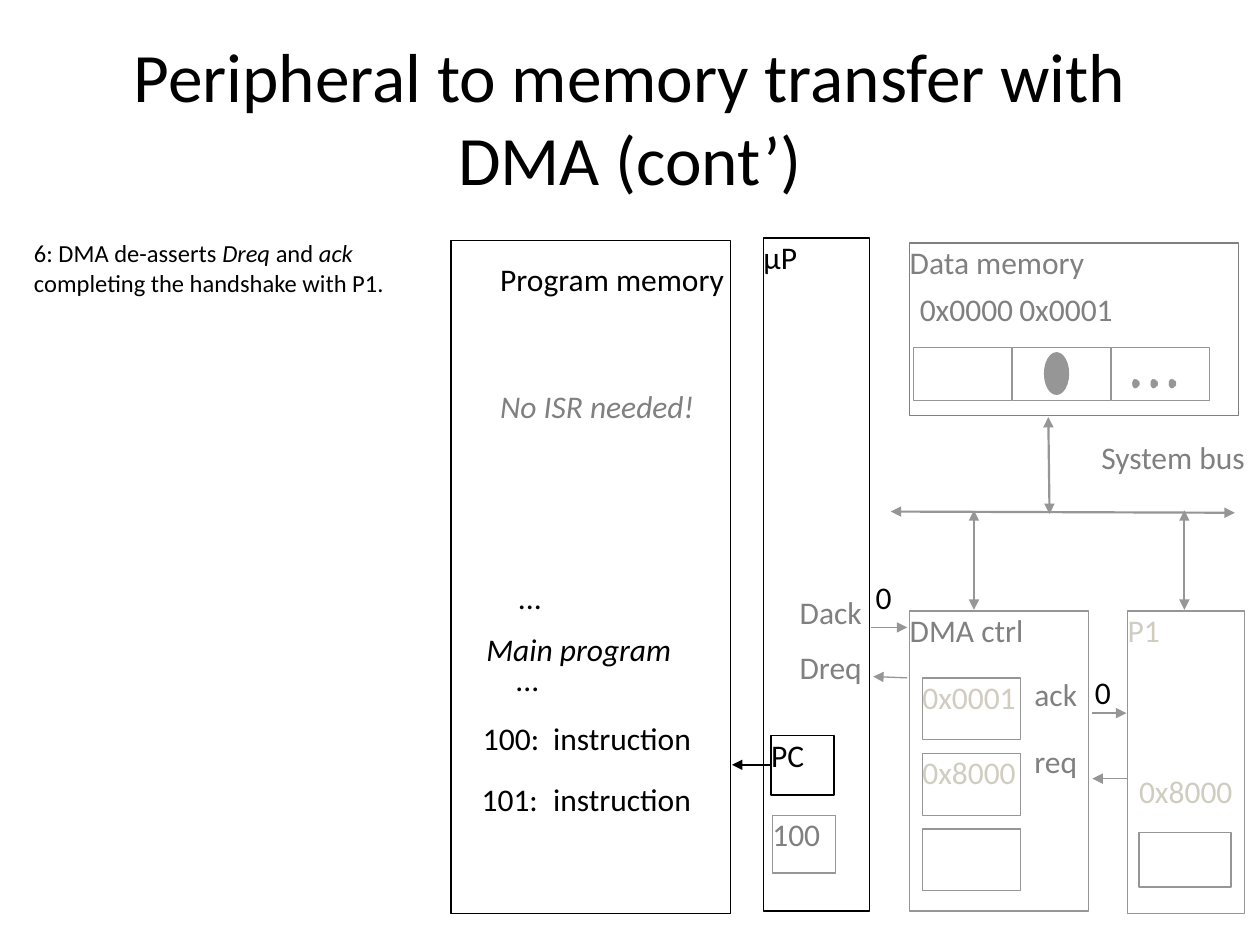
from pptx import Presentation
from pptx.dml.color import RGBColor
from pptx.enum.dml import MSO_LINE
from pptx.enum.shapes import MSO_CONNECTOR, MSO_SHAPE
from pptx.enum.text import MSO_ANCHOR, PP_ALIGN
from pptx.oxml.ns import qn
from pptx.util import Inches, Pt
from lxml import etree

BLACK = RGBColor(0x00, 0x00, 0x00)
WHITE = RGBColor(0xFF, 0xFF, 0xFF)
GRAY = RGBColor(0x80, 0x80, 0x80)
LINE_GRAY = RGBColor(0x96, 0x96, 0x96)
PALE = RGBColor(0xD0, 0xCD, 0xC0)  # dark enough to read on white
LEFT, CENTER, RIGHT = PP_ALIGN.LEFT, PP_ALIGN.CENTER, PP_ALIGN.RIGHT
TOP, MIDDLE = MSO_ANCHOR.TOP, MSO_ANCHOR.MIDDLE
RECTANGLE, OVAL = MSO_SHAPE.RECTANGLE, MSO_SHAPE.OVAL
STRAIGHT, DASH = MSO_CONNECTOR.STRAIGHT, MSO_LINE.DASH

presentation = Presentation()
presentation.slide_width = Inches(10)
presentation.slide_height = Inches(7.5)
slide = presentation.slides.add_slide(presentation.slide_layouts[6])


def write_text(shape, lines, color, size=18, align=LEFT, anchor=TOP, inset=0):
    """Each line is a list of (text, italic) runs."""
    frame = shape.text_frame
    frame_format = {"word_wrap": True, "vertical_anchor": anchor}
    for side in ("left", "top", "right", "bottom"):
        frame_format["margin_" + side] = Inches(inset)
    for name, value in frame_format.items():
        setattr(frame, name, value)
    for index, runs in enumerate(lines):
        paragraph = frame.paragraphs[0] if index == 0 else frame.add_paragraph()
        paragraph.alignment = align
        for text, italic in runs:
            run = paragraph.add_run()
            run.text = text
            run.font.color.rgb = color
            font_format = {"name": "Calibri", "size": Pt(size), "italic": italic}
            for name, value in font_format.items():
                setattr(run.font, name, value)


def add_box(box, line_color, fill=None, kind=RECTANGLE):
    shape = slide.shapes.add_shape(kind, *map(Inches, box))
    shape.shadow.inherit = False
    if fill is None:
        shape.fill.background()
    else:
        shape.fill.solid()
        shape.fill.fore_color.rgb = fill
    shape.line.color.rgb = line_color
    shape.line.width = Pt(0.75)
    return shape


# Title and step description
title = slide.shapes.add_textbox(Inches(0.5), Inches(0.3), Inches(9), Inches(1.25))
write_text(title, [[("Peripheral to memory transfer with DMA (cont’)", False)]],
           BLACK, 39.6, CENTER, MIDDLE, 0.1)
step = slide.shapes.add_textbox(Inches(0.27), Inches(1.89), Inches(3.64), Inches(0.51))
write_text(step, [
    [("6: DMA de-asserts ", False), ("Dreq ", True), ("and ", False), ("ack", True)],
    [("completing the handshake with P1.", False)],
], BLACK, 14)

# Main blocks and the processor registers
blocks = [
    ((3.58, 1.91, 2.22, 5.34), BLACK, WHITE, "", BLACK),
    ((6.06, 1.89, 0.84, 5.34), BLACK, WHITE, "μP", BLACK),
    ((7.22, 1.93, 2.61, 1.37), GRAY, None, "Data memory", GRAY),
    ((7.22, 4.85, 1.42, 2.38), LINE_GRAY, WHITE, "DMA ctrl", GRAY),
    ((8.95, 4.85, 0.93, 2.4), LINE_GRAY, None, "P1", PALE),
    ((9.04, 6.61, 0.73, 0.43), LINE_GRAY, WHITE, "", PALE),
    ((6.12, 5.84, 0.5, 0.47), BLACK, WHITE, "PC", BLACK),
    ((6.13, 6.47, 0.5, 0.46), LINE_GRAY, WHITE, "100", GRAY),
]
for box, line_color, fill, text, color in blocks:
    shape = add_box(box, line_color, fill)
    if text:
        write_text(shape, [[(text, False)]], color)

# DMA controller registers
for index, text in enumerate(["0x0001", "0x8000", ""]):
    register = add_box((7.32, 5.38 + 0.6 * index, 0.78, 0.49), LINE_GRAY)
    if text:
        write_text(register, [[(text, False)]], PALE)

# Data memory cells, stored value and ellipsis dots
for index in range(3):
    add_box((7.25 + 0.785 * index, 2.76, 0.78, 0.42), LINE_GRAY)
add_box((8.29, 2.8, 0.19, 0.33), LINE_GRAY, LINE_GRAY, OVAL)
for index in range(3):
    dot = add_box((8.99 + 0.145 * index, 3.01, 0.05, 0.07), LINE_GRAY, LINE_GRAY, OVAL)
    dot.line.dash_style = DASH

# Labels: box, text, color, alignment, italic
labels = [
    ((3.97, 2.06, 1.82, 0.55), "Program memory", BLACK, LEFT, False),
    ((3.97, 3.07, 1.7, 0.46), "No ISR needed!", GRAY, LEFT, True),
    ((3.96, 4.59, 0.34, 0.43), "...", BLACK, RIGHT, False),
    ((3.86, 5, 1.55, 0.52), "Main program", BLACK, LEFT, True),
    ((3.94, 5.24, 0.34, 0.42), "...", BLACK, RIGHT, False),
    ((3.72, 5.71, 0.56, 0.43), "100:", BLACK, RIGHT, False),
    ((4.39, 5.71, 1.16, 0.52), "instruction", BLACK, LEFT, False),
    ((3.81, 6.19, 0.46, 0.38), "101:", BLACK, RIGHT, False),
    ((4.39, 6.19, 1.19, 0.42), "instruction", BLACK, LEFT, False),
    ((7.3, 2.3, 0.75, 0.41), "0x0000", GRAY, LEFT, False),
    ((8.09, 2.3, 0.8, 0.41), "0x0001", GRAY, LEFT, False),
    ((8.74, 3.48, 1.18, 0.66), "System bus", GRAY, LEFT, False),
    ((6.28, 4.71, 0.56, 0.55), "Dack", GRAY, RIGHT, False),
    ((6.28, 5.14, 0.56, 0.54), "Dreq", GRAY, RIGHT, False),
    ((8.21, 5.36, 0.4, 0.55), "ack", GRAY, LEFT, False),
    ((8.21, 5.89, 0.4, 0.55), "req", GRAY, LEFT, False),
    ((9.04, 6.13, 0.78, 0.4), "0x8000", PALE, LEFT, False),
    ((6.95, 4.59, 0.23, 0.3), "0", BLACK, LEFT, False),
    ((8.69, 5.34, 0.23, 0.3), "0", BLACK, LEFT, False),
]
for box, text, color, align, italic in labels:
    label = slide.shapes.add_textbox(*map(Inches, box))
    write_text(label, [[(text, italic)]], color, align=align)

# Bus lines (arrowheads at both ends) and signal arrows (at the end only)
BOTH, END = ("headEnd", "tailEnd"), ("tailEnd",)
arrows = [
    ((7.07, 4.06, 9.8, 4.07), LINE_GRAY, 1.25, BOTH),
    ((7.73, 4.05, 7.73, 4.84), LINE_GRAY, 1.25, BOTH),
    ((9.4, 4.05, 9.4, 4.84), LINE_GRAY, 1.25, BOTH),
    ((8.32, 3.31, 8.33, 4.08), LINE_GRAY, 1.25, BOTH),
    ((6.12, 6.07, 5.81, 6.07), BLACK, 1.25, END),
    ((6.91, 4.98, 7.2, 4.98), LINE_GRAY, 0.75, END),
    ((7.2, 5.38, 6.93, 5.37), LINE_GRAY, 0.75, END),
    ((8.67, 5.66, 8.94, 5.66), LINE_GRAY, 0.75, END),
    ((8.95, 6.18, 8.67, 6.18), LINE_GRAY, 0.75, END),
]
for points, color, width, ends in arrows:
    arrow = slide.shapes.add_connector(STRAIGHT, *map(Inches, points))
    arrow.line.color.rgb = color
    arrow.line.width = Pt(width)
    properties = arrow._element.spPr
    for end in ends:
        etree.SubElement(properties.find(qn("a:ln")), qn("a:" + end), type="triangle")
    etree.SubElement(properties, qn("a:effectLst"))

presentation.save("out.pptx")
